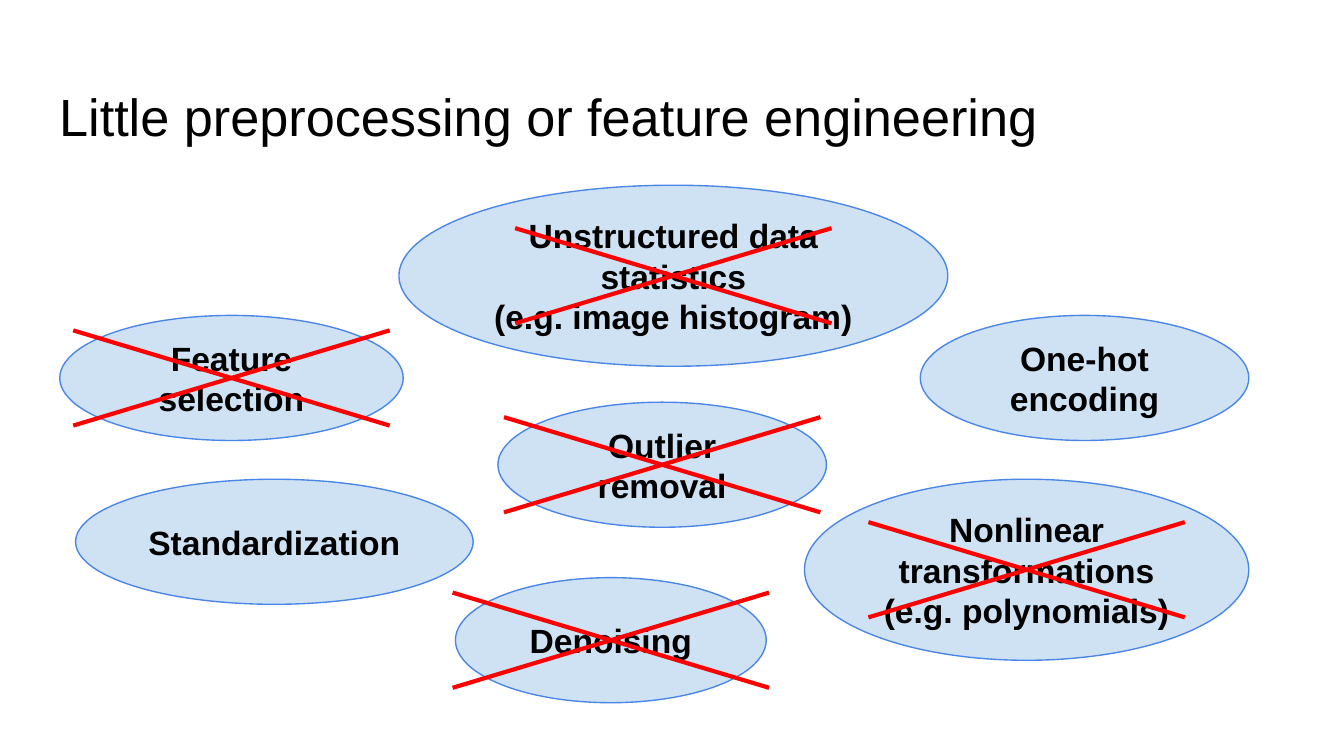
from dataclasses import dataclass

from lxml import etree
from pptx import Presentation
from pptx.dml.color import RGBColor
from pptx.enum.shapes import MSO_CONNECTOR, MSO_SHAPE
from pptx.enum.text import MSO_ANCHOR, PP_ALIGN
from pptx.oxml.ns import qn
from pptx.util import Pt

OVAL = MSO_SHAPE.OVAL
STRAIGHT = MSO_CONNECTOR.STRAIGHT
TOP, MIDDLE = MSO_ANCHOR.TOP, MSO_ANCHOR.MIDDLE
LEFT, CENTER = PP_ALIGN.LEFT, PP_ALIGN.CENTER
TITLE_ONLY = 5


@dataclass(frozen=True)
class Theme:
    """Colours, type sizes and line widths of the slide."""
    font: str = "Arial"
    text: RGBColor = RGBColor(0, 0, 0)
    fill: RGBColor = RGBColor(0xCF, 0xE2, 0xF3)
    outline: RGBColor = RGBColor(0x4A, 0x86, 0xE8)
    cross: RGBColor = RGBColor(0xFF, 0, 0)
    title_size: float = 28
    label_size: float = 18
    outline_width: float = 0.75
    cross_width: float = 2.25


THEME = Theme()
INSET = 7.2
CROSS_SIZE = (169.5, 51)

STEPS = [
    ("Standardization", (40.5, 256.75, 213, 67), False),
    ("One-hot encoding", (493, 169, 176, 67), False),
    ("Denoising", (244, 309.5, 166.5, 67), True),
    ("Feature selection", (32, 169, 184, 67), True),
    ("Nonlinear transformations\n(e.g. polynomials)", (431, 256.75, 238, 97), True),
    ("Unstructured data statistics\n(e.g. image histogram)", (213.75, 99.25, 294, 97), True),
    ("Outlier removal", (266.75, 215.5, 176, 67), True),
]


def set_text(sp, text, size, bold, align, anchor):
    """Write the text into a shape and format it."""
    tf = sp.text_frame
    tf.text = text
    tf.word_wrap = True
    tf.vertical_anchor = anchor
    tf.margin_left = tf.margin_right = tf.margin_top = tf.margin_bottom = Pt(INSET)
    for p in tf.paragraphs:
        p.alignment = align
        for r in p.runs:
            r.font.name = THEME.font
            r.font.size = Pt(size)
            r.font.bold = bold
            r.font.color.rgb = THEME.text


def add_title(slide, box, text):
    """Place the title placeholder in the box."""
    sp = slide.shapes.title
    sp.left, sp.top, sp.width, sp.height = map(Pt, box)
    set_text(sp, text, THEME.title_size, False, LEFT, TOP)
    sp.text_frame.margin_top = Pt(10)


def add_step(slide, box, text):
    """Draw one preprocessing step as a labelled ellipse."""
    sp = slide.shapes.add_shape(OVAL, *map(Pt, box))
    sp.shadow.inherit = False
    sp.fill.solid()
    sp.fill.fore_color.rgb = THEME.fill
    sp.line.color.rgb = THEME.outline
    sp.line.width = Pt(THEME.outline_width)
    set_text(sp, text, THEME.label_size, True, CENTER, MIDDLE)


def add_cross(slide, box):
    """Strike out the box with a grouped cross at its centre."""
    x, y, w, h = box
    cross_w, cross_h = CROSS_SIZE
    left, top = x + (w - cross_w) / 2, y + (h - cross_h) / 2
    right, bottom = left + cross_w, top + cross_h
    group = slide.shapes.add_group_shape()
    for start, end in ((left, right), (right, left)):
        line = group.shapes.add_connector(
            STRAIGHT, Pt(start), Pt(bottom), Pt(end), Pt(top))
        line.line.color.rgb = THEME.cross
        line.line.width = Pt(THEME.cross_width)
        etree.SubElement(line._element.spPr, qn("a:effectLst"))


def build_slide(prs):
    """Add the slide on preprocessing steps."""
    slide = prs.slides.add_slide(prs.slide_layouts[TITLE_ONLY])
    add_title(slide, (24.5, 35, 671, 45), "Little preprocessing or feature engineering")
    for text, box, _ in STEPS:
        add_step(slide, box, text)
    for _, box, crossed in STEPS:
        if crossed:
            add_cross(slide, box)


def main():
    """Build and save the presentation."""
    prs = Presentation()
    prs.slide_width, prs.slide_height = Pt(720), Pt(405)
    build_slide(prs)
    prs.save("out.pptx")


if __name__ == "__main__":
    main()
